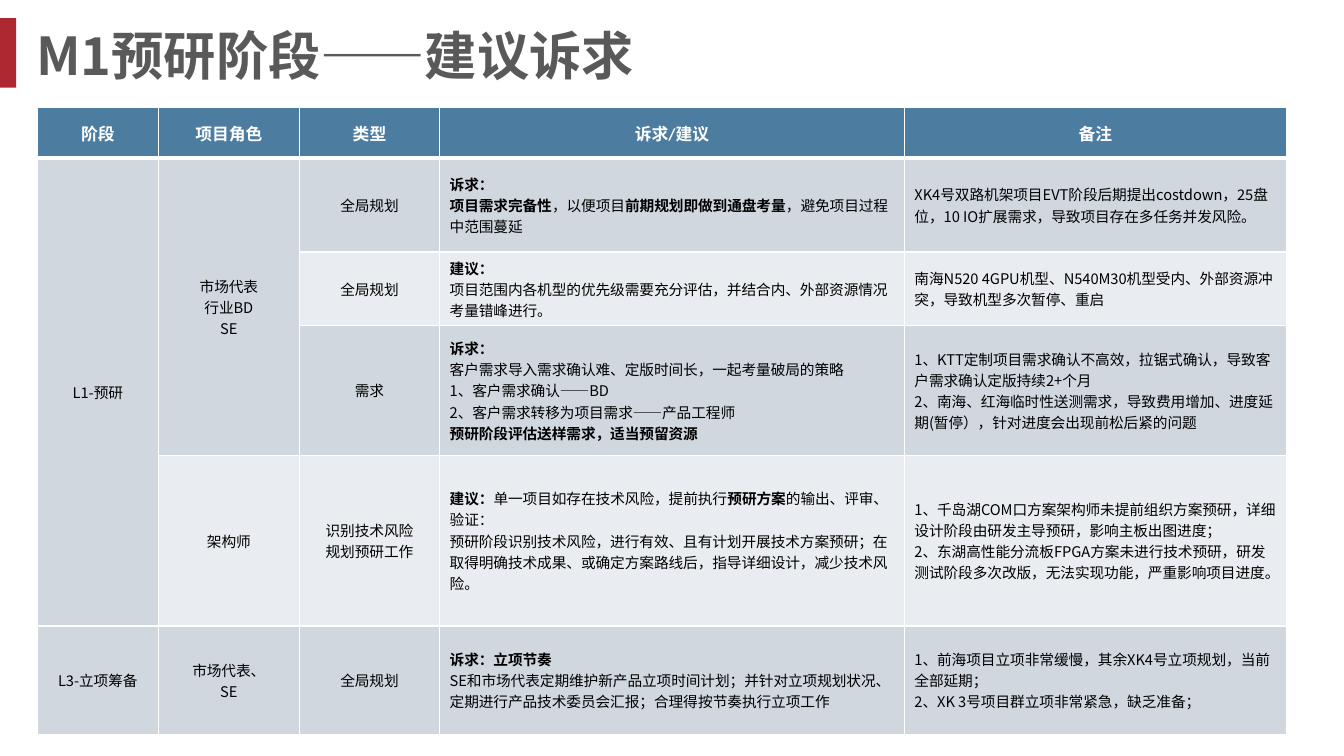
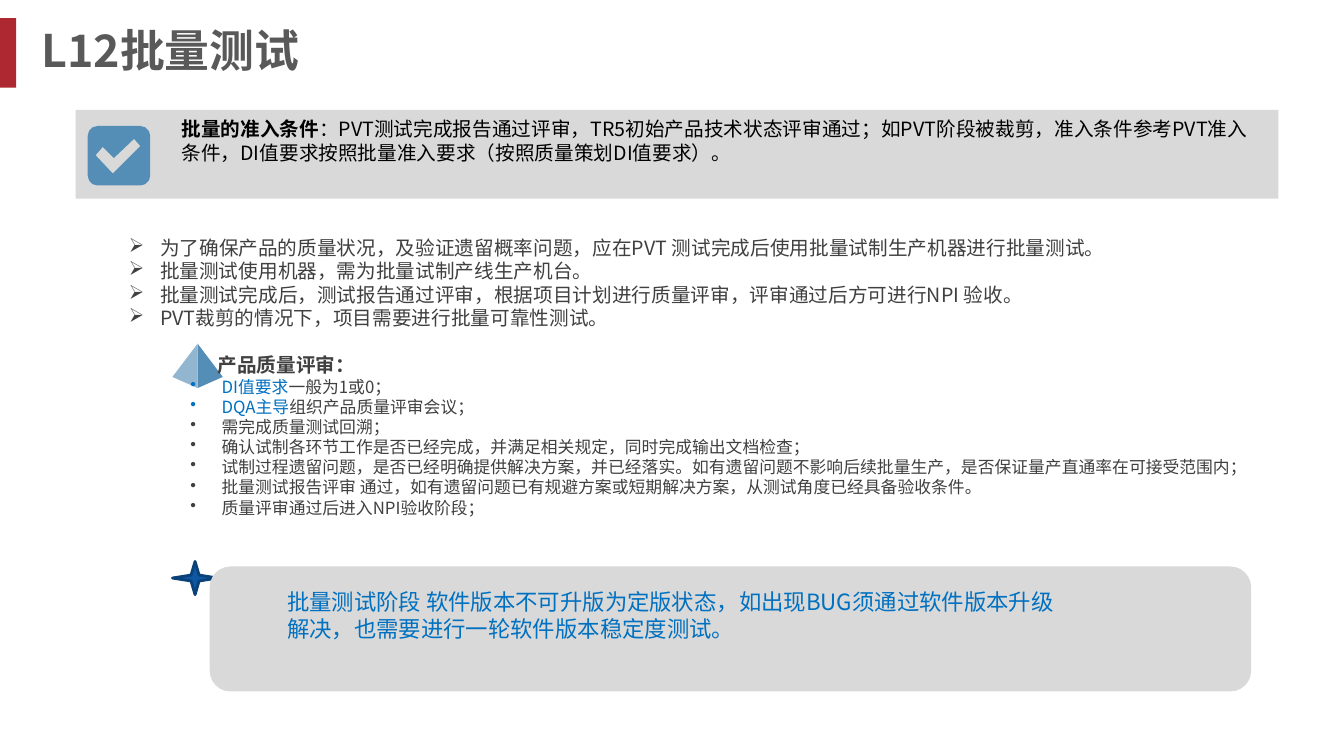
import pptx
import pptx.util
import pptx.dml.color
import pptx.enum.shapes
import pptx.enum.text
import pptx.oxml
import pptx.oxml.ns
from lxml import etree

Inches = pptx.util.Inches
Kind = pptx.enum.shapes.MSO_SHAPE
Align = pptx.enum.text.PP_ALIGN
Anchor = pptx.enum.text.MSO_ANCHOR
qn = pptx.oxml.ns.qn

# Shared look
FONT = "Noto Sans CJK SC"
HUES = {
    "red": "AD2830", "title": "595959", "head": "4C7CA0", "dark": "D0D7DF",
    "pale": "E9ECF0", "white": "FFFFFF", "black": "000000", "body": "404040",
    "grey": "D9D9D9", "link": "0070C0", "steel": "548DB5", "sky": "92B6D0",
    "star": "0E58A3", "edge": "0A4179",
}

# Slide 1 content: text between asterisks is emphasised
HEADS = ["阶段", "项目角色", "类型", "诉求/建议", "备注"]
WIDTHS = [1.2, 1.4, 1.39, 4.61, 3.79]
HEIGHTS = [0.5, 0.93, 0.73, 1.29, 1.69, 1.08]
ROWS = [
    (["L1-预研"], ["市场代表", "行业BD", "SE"], ["全局规划"],
     ["*诉求：*", "*项目需求完备性*，以便项目*前期规划即做到通盘考量*，避免项目过程中范围蔓延"],
     ["XK4号双路机架项目EVT阶段后期提出costdown，25盘位，10 IO扩展需求，导致项目存在多任务并发风险。"]),
    (None, None, ["全局规划"],
     ["*建议：*", "项目范围内各机型的优先级需要充分评估，并结合内、外部资源情况考量错峰进行。"],
     ["南海N520 4GPU机型、N540M30机型受内、外部资源冲突，导致机型多次暂停、重启"]),
    (None, None, ["需求"],
     ["*诉求：*", "客户需求导入需求确认难、定版时间长，一起考量破局的策略",
      "1、客户需求确认——BD", "2、客户需求转移为项目需求——产品工程师",
      "*预研阶段评估送样需求，适当预留资源*"],
     ["1、KTT定制项目需求确认不高效，拉锯式确认，导致客户需求确认定版持续2+个月",
      "2、南海、红海临时性送测需求，导致费用增加、进度延期(暂停），针对进度会出现前松后紧的问题"]),
    (None, ["架构师"], ["识别技术风险", "规划预研工作"],
     ["*建议：*单一项目如存在技术风险，提前执行*预研方案*的输出、评审、验证：",
      "预研阶段识别技术风险，进行有效、且有计划开展技术方案预研；在取得明确技术成果、"
      "或确定方案路线后，指导详细设计，减少技术风险。"],
     ["1、千岛湖COM口方案架构师未提前组织方案预研，详细设计阶段由研发主导预研，影响主板出图进度；",
      "2、东湖高性能分流板FPGA方案未进行技术预研，研发测试阶段多次改版，无法实现功能，严重影响项目进度。"]),
    (["L3-立项筹备"], ["市场代表、", "SE"], ["全局规划"],
     ["*诉求：立项节奏*",
      "SE和市场代表定期维护新产品立项时间计划；并针对立项规划状况、"
      "定期进行产品技术委员会汇报；合理得按节奏执行立项工作"],
     ["1、前海项目立项非常缓慢，其余XK4号立项规划，当前全部延期；",
      "2、XK 3号项目群立项非常紧急，缺乏准备；"]),
]
SPANS = [(1, 4, 0), (1, 3, 1)]  # first row, last row, column

# Slide 2 content
ENTRY = ["*批量的准入条件*：PVT测试完成报告通过评审，TR5初始产品技术状态评审通过；"
         "如PVT阶段被裁剪，准入条件参考PVT准入条件，DI值要求按照批量准入要求（按照质量策划DI值要求）。"]
RULES = [
    "为了确保产品的质量状况，及验证遗留概率问题，应在PVT 测试完成后使用批量试制生产机器进行批量测试。",
    "批量测试使用机器，需为批量试制产线生产机台。",
    "批量测试完成后，测试报告通过评审，根据项目计划进行质量评审，评审通过后方可进行NPI 验收。",
    "PVT裁剪的情况下，项目需要进行批量可靠性测试。",
]
REVIEW = ["产品质量评审："]
CHECKS = [
    "*DI值要求*一般为1或0；",
    "*DQA主导*组织产品质量评审会议；",
    "需完成质量测试回溯；",
    "确认试制各环节工作是否已经完成，并满足相关规定，同时完成输出文档检查；",
    "试制过程遗留问题，是否已经明确提供解决方案，并已经落实。"
    "如有遗留问题不影响后续批量生产，是否保证量产直通率在可接受范围内；",
    "批量测试报告评审 通过，如有遗留问题已有规避方案或短期解决方案，从测试角度已经具备验收条件。",
    "质量评审通过后进入NPI验收阶段；",
]
NOTICE = ["批量测试阶段 软件版本不可升版为定版状态，如出现BUG须通过软件版本升级解决，"
          "也需要进行一轮软件版本稳定度测试。"]
TICK = [(1.39, 1.45), (1.33, 1.38), (1.13, 1.57), (1.02, 1.46), (0.95, 1.54), (1.12, 1.72)]
FACES = [
    ([(1.96, 3.41), (2.21, 3.74), (1.96, 3.85)], "steel"),
    ([(1.96, 3.41), (1.71, 3.74), (1.96, 3.85)], "sky"),
]


def hue(name):
    return pptx.dml.color.RGBColor.from_string(HUES[name])


def write(frame, paras, size=14, color="body", bold=False, accent=None, font=FONT,
          align=Align.LEFT, indent=0, bullet=None, more=False):
    """Fill a frame; text between asterisks is bold, or takes the accent colour."""
    frame.word_wrap = True
    for i, line in enumerate(paras):
        para = frame.add_paragraph() if i or more else frame.paragraphs[0]
        para.alignment = align
        props = para._p.get_or_add_pPr()
        if indent:
            props.set("marL", str(Inches(indent)))
            props.set("indent", str(Inches(-indent if bullet else 0)))
        if bullet:
            etree.SubElement(props, qn("a:buChar")).set("char", bullet)
        for j, part in enumerate(line.split("*")):
            if not part:
                continue
            run = para.add_run()
            run.text = part
            mark = j % 2 == 1
            run.font.size = pptx.util.Pt(size)
            run.font.bold = bold or (mark and not accent)
            run.font.color.rgb = hue(accent if mark and accent else color)
            run.font.name = font
            etree.SubElement(run._r.get_or_add_rPr(), qn("a:ea")).set("typeface", FONT)


def label(slide, area, paras, **style):
    box = slide.shapes.add_textbox(*map(Inches, area))
    write(box.text_frame, paras, **style)
    return box.text_frame


def paint(shape, fill, edge=None):
    shape.shadow.inherit = False
    shape.fill.solid()
    shape.fill.fore_color.rgb = hue(fill)
    if edge:
        shape.line.color.rgb = hue(edge)
        shape.line.width = pptx.util.Pt(2)
    else:
        shape.line.fill.background()
    return shape


def block(slide, kind, area, fill, edge=None):
    return paint(slide.shapes.add_shape(kind, *map(Inches, area)), fill, edge)


def outline(slide, points, fill):
    spots = [(Inches(x), Inches(y)) for x, y in points]
    pen = slide.shapes.build_freeform(*spots[0], scale=1.0)
    pen.add_line_segments(spots[1:], close=True)
    return paint(pen.convert_to_shape(), fill)


def start(deck, title, area, size):
    """New slide with the red band and the title."""
    slide = deck.slides.add_slide(deck.slide_layouts[6])
    block(slide, Kind.RECTANGLE, (0, 0.18, 0.16, 0.69), "red")
    label(slide, area, [title], size=size, color="title", bold=True)
    return slide


def border(cell, row):
    props = cell._tc.get_or_add_tcPr()
    for i, side in enumerate(("lnL", "lnR", "lnT", "lnB")):
        thick = (row, side) in ((0, "lnB"), (1, "lnT"))
        line = etree.Element(qn("a:" + side), w=str(pptx.util.Pt(3 if thick else 1)))
        solid = etree.SubElement(line, qn("a:solidFill"))
        etree.SubElement(solid, qn("a:srgbClr")).set("val", HUES["white"])
        props.insert(i, line)


def plan(deck):
    slide = start(deck, "M1预研阶段——建议诉求", (0.26, 0.18, 10.81, 0.73), 37.3)
    area = (0.37, 1.07, sum(WIDTHS), sum(HEIGHTS))
    grid = slide.shapes.add_table(len(HEIGHTS), len(WIDTHS), *map(Inches, area)).table
    for col, width in zip(grid.columns, WIDTHS):
        col.width = Inches(width)
    for row, height in zip(grid.rows, HEIGHTS):
        row.height = Inches(height)
    for top, end, c in SPANS:
        grid.cell(top, c).merge(grid.cell(end, c))
    for r, row in enumerate([[[head] for head in HEADS]] + ROWS):
        for c, paras in enumerate(row):
            cell = grid.cell(r, c)
            tone = "head" if r == 0 else "pale" if r in (2, 4) and paras else "dark"
            cell.fill.solid()
            cell.fill.fore_color.rgb = hue(tone)
            border(cell, r)
            cell.vertical_anchor = Anchor.MIDDLE
            if r == 0:
                write(cell.text_frame, paras, size=12, color="white", bold=True,
                      font="Calibri", align=Align.CENTER)
            elif paras:
                write(cell.text_frame, paras, size=10.5, color="black",
                      align=Align.CENTER if c < 3 else Align.LEFT)


def batch(deck):
    slide = start(deck, "L12批量测试", (0.31, 0.18, 4.42, 0.91), 32)

    # Entry condition bar with tick icon
    bar = block(slide, Kind.RECTANGLE, (0.75, 1.09, 11.93, 0.88), "grey").text_frame
    bar.margin_left = bar.margin_right = Inches(0.13)
    bar.margin_top = bar.margin_bottom = Inches(0.07)
    bar.vertical_anchor = Anchor.TOP
    write(bar, ENTRY, color="black", indent=0.92)
    block(slide, Kind.ROUNDED_RECTANGLE, (0.87, 1.25, 0.62, 0.59), "steel")
    outline(slide, TICK, "grey")

    # Rules
    label(slide, (1.18, 2.29, 10.27, 1.3), RULES, indent=0.31, bullet="➢")

    # Quality review with pyramid icon
    for points, fill in FACES:
        outline(slide, points, fill)
    frame = label(slide, (1.79, 3.45, 11.06, 2.08), REVIEW, bold=True, indent=0.27)
    write(frame, CHECKS, size=12, accent="link", indent=0.31, bullet="•", more=True)

    # Notice with star
    block(slide, Kind.STAR_4_POINT, (1.71, 5.57, 0.45, 0.33), "star", "edge")
    block(slide, Kind.ROUNDED_RECTANGLE, (2.08, 5.62, 10.33, 1.24), "grey")
    label(slide, (2.75, 5.79, 7.93, 0.75), NOTICE, size=16, color="link")


def main():
    deck = pptx.Presentation()
    deck.slide_width, deck.slide_height = Inches(13.33), Inches(7.5)
    plan(deck)
    batch(deck)
    deck.save("out.pptx")


if __name__ == "__main__":
    main()
